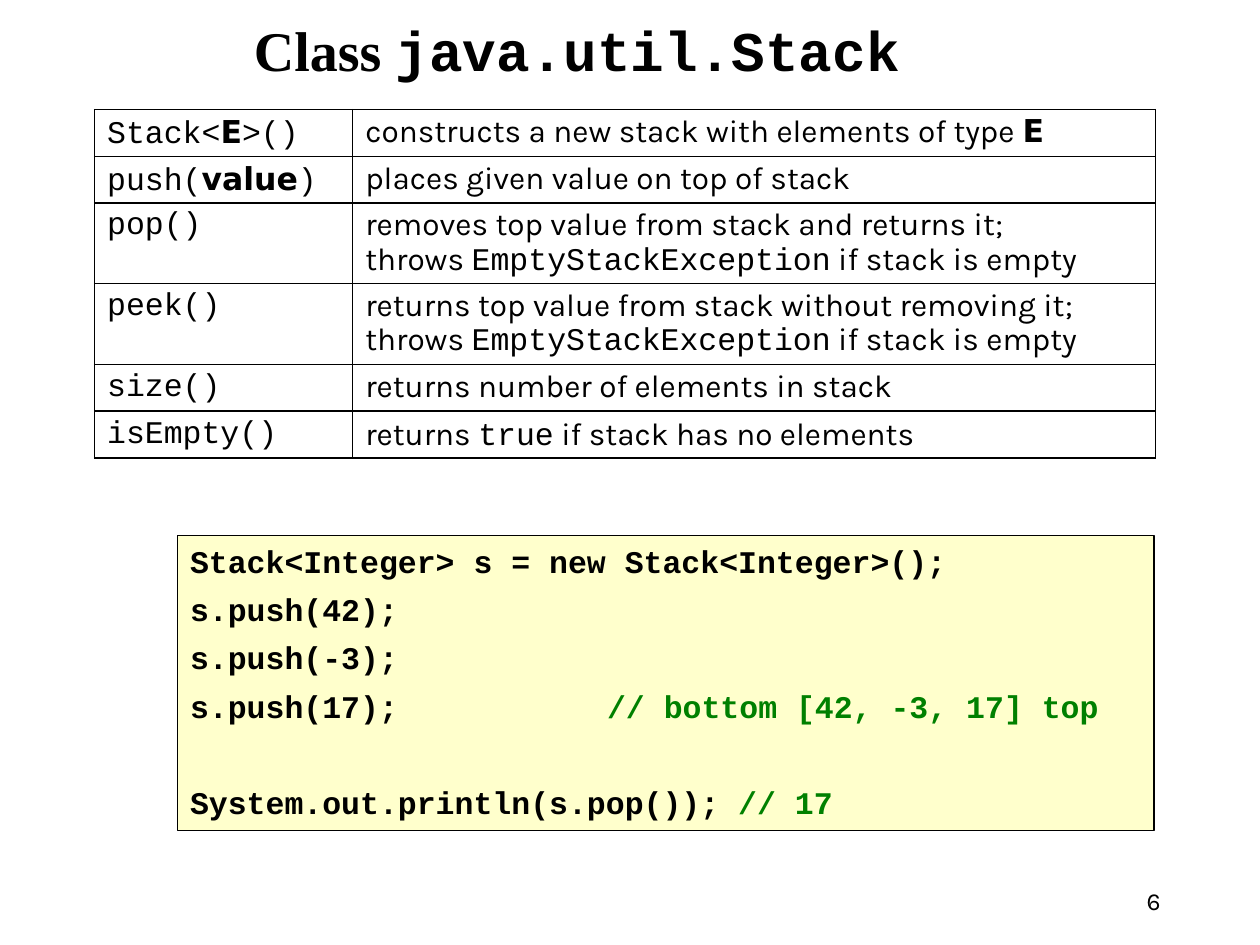
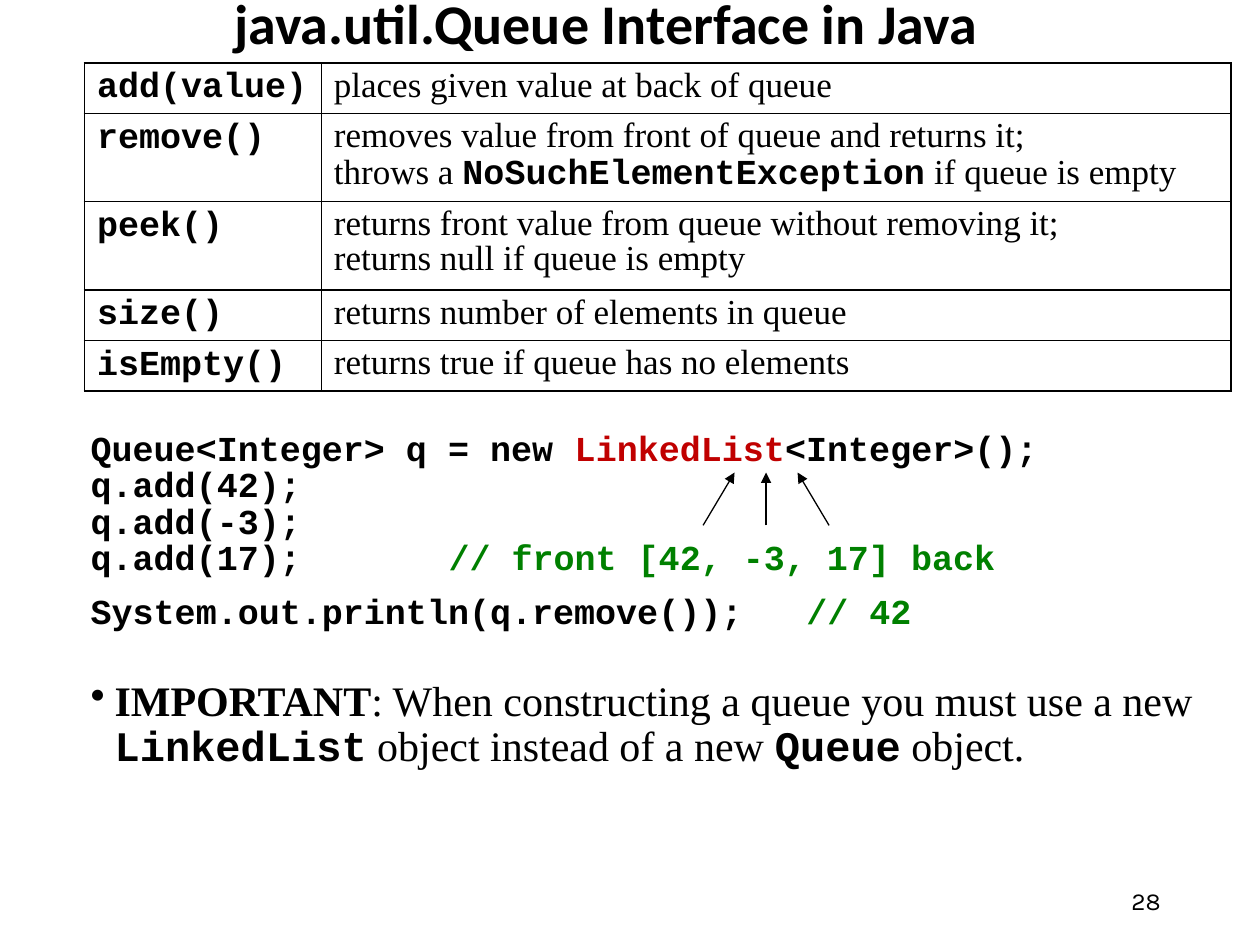
from typing import NamedTuple

from lxml.etree import SubElement as add_element
from pptx import Presentation
from pptx.dml.color import RGBColor
from pptx.enum.shapes import MSO_CONNECTOR as Connector, MSO_SHAPE as Shape
from pptx.enum.text import MSO_ANCHOR as Anchor, PP_ALIGN as Align
from pptx.oxml.ns import qn
from pptx.util import Inches, Pt

# Shared colours and fonts
BLACK, GREEN, RED, CREAM = "000000", "008000", "C00000", "FFFFCC"
MONO, SERIF, SANS, PLAIN, SYMBOL = (
    "Courier New", "Times New Roman", "Calibri", "Karla", "DejaVu Sans")


class Style(NamedTuple):
    font: str
    bold: bool = False
    color: str = BLACK


CODE, STRONG_CODE = Style(MONO), Style(MONO, True)
COMMENT, KEYWORD = Style(MONO, True, GREEN), Style(MONO, True, RED)
BODY, PROSE, STRONG_PROSE = Style(PLAIN), Style(SERIF), Style(SERIF, True)
ARGUMENT = Style(SYMBOL, True)

# Each table row: method runs, then the lines of its description
EMPTY_STACK = [("throws ", BODY), ("EmptyStackException", CODE),
               (" if stack is empty", BODY)]
STACK_METHODS = [
    ([("Stack<", CODE), ("E", ARGUMENT), (">()", CODE)],
     [[("constructs a new stack with elements of type ", BODY), ("E", ARGUMENT)]]),
    ([("push(", CODE), ("value", ARGUMENT), (")", CODE)],
     [[("places given value on top of stack", BODY)]]),
    ([("pop()", CODE)],
     [[("removes top value from stack and returns it;", BODY)], EMPTY_STACK]),
    ([("peek()", CODE)],
     [[("returns top value from stack without removing it;", BODY)], EMPTY_STACK]),
    ([("size()", CODE)], [[("returns number of elements in stack", BODY)]]),
    ([("isEmpty()", CODE)],
     [[("returns ", BODY), ("true", CODE), (" if stack has no elements", BODY)]]),
]
QUEUE_METHODS = [
    ([("add(value)", STRONG_CODE)], [[("places given value at back of queue", PROSE)]]),
    ([("remove()", STRONG_CODE)],
     [[("removes value from front of queue and returns it;", PROSE)],
      [("throws a ", PROSE), ("NoSuchElementException", STRONG_CODE),
       (" if queue is empty", PROSE)]]),
    ([("peek()", STRONG_CODE)],
     [[("returns front value from queue without removing it;", PROSE)],
      [("returns null if queue is empty", PROSE)]]),
    ([("size()", STRONG_CODE)], [[("returns number of elements in queue", PROSE)]]),
    ([("isEmpty()", STRONG_CODE)], [[("returns true if queue has no elements", PROSE)]]),
]

# Code lines; a tab leads to the comment column
STACK_CODE = [
    [("Stack<Integer> s = new Stack<Integer>();", STRONG_CODE)],
    [("s.push(42);", STRONG_CODE)],
    [("s.push(-3);", STRONG_CODE)],
    [("s.push(17);\t", STRONG_CODE), ("// bottom [42, -3, 17] top", COMMENT)],
    [("System.out.println(s.pop()); ", STRONG_CODE), ("// 17", COMMENT)],
]
QUEUE_CODE = [
    [("Queue<Integer> q = new ", STRONG_CODE), ("LinkedList", KEYWORD),
     ("<Integer>();", STRONG_CODE)],
    [("q.add(42);", STRONG_CODE)],
    [("q.add(-3);", STRONG_CODE)],
    [("q.add(17);\t", STRONG_CODE), ("// front [42, -3, 17] back", COMMENT)],
    [("System.out.println(q.remove());\t", STRONG_CODE), ("// 42", COMMENT)],
]
QUEUE_NOTE = [
    ("IMPORTANT", STRONG_PROSE),
    (": When constructing a queue you must use a new ", PROSE),
    ("LinkedList", STRONG_CODE), (" object instead of a new ", PROSE),
    ("Queue", STRONG_CODE), (" object.", PROSE),
]


def rgb(color):
    return RGBColor.from_string(color)


def write(para, runs, size, line=None, before=None, align=None):
    """Format one paragraph and fill it run by run."""
    para.alignment = align
    para.line_spacing = line
    if before is not None:
        para.space_before = Pt(before)
    for text, style in runs:
        span = para.add_run()
        span.text = text
        span.font.name, span.font.size = style.font, Pt(size)
        span.font.bold = style.bold
        span.font.color.rgb = rgb(style.color)


def paragraph(frame, index):
    return frame.paragraphs[0] if index == 0 else frame.add_paragraph()


def set_tab(para, position):
    tabs = add_element(para._p.get_or_add_pPr(), qn("a:tabLst"))
    add_element(tabs, qn("a:tab"), pos=str(Inches(position)), algn="l")


def set_bullet(para, indent):
    properties = para._p.get_or_add_pPr()
    properties.set("marL", str(Inches(indent)))
    properties.set("indent", str(-Inches(indent)))
    add_element(properties, qn("a:buChar"), char="•")


def add_text(page, left, top, width, height, anchor=Anchor.TOP):
    frame = page.shapes.add_textbox(
        Inches(left), Inches(top), Inches(width), Inches(height)).text_frame
    frame.word_wrap = True
    frame.vertical_anchor = anchor
    return frame


def add_title(page, left, top, height, runs):
    frame = add_text(page, left, top, 8.62, height, Anchor.MIDDLE)
    write(frame.paragraphs[0], runs, 32, 0.9, align=Align.CENTER)


def add_page_number(page, number):
    frame = add_text(page, 7.06, 6.95, 2.25, 0.4, Anchor.MIDDLE)
    write(frame.paragraphs[0], [(number, BODY)], 14, align=Align.RIGHT)


def add_borders(cell):
    properties = cell._tc.get_or_add_tcPr()
    for side in ("lnL", "lnR", "lnT", "lnB"):
        border = add_element(properties, qn(f"a:{side}"), w=str(Pt(1)))
        fill = add_element(border, qn("a:solidFill"))
        add_element(fill, qn("a:srgbClr"), val=BLACK)


def add_method_table(page, left, top, widths, methods, size, heights):
    """heights holds the row height for one and for two description lines."""
    row_heights = [heights[len(lines) - 1] for _, lines in methods]
    table = page.shapes.add_table(
        len(methods), 2, Inches(left), Inches(top),
        Inches(sum(widths)), Inches(sum(row_heights))).table
    table.first_row = table.horz_banding = False
    for column, width in zip(table.columns, widths):
        column.width = Inches(width)
    for row, height, (method, lines) in zip(table.rows, row_heights, methods):
        row.height = Inches(height)
        for cell, content in zip(row.cells, ([method], lines)):
            add_borders(cell)
            cell.fill.background()
            for index, runs in enumerate(content):
                write(paragraph(cell.text_frame, index), runs, size, 0.9)


def add_code(frame, code, size, line, before, last_before, tabs):
    """Write code lines; the last one stands apart from the others."""
    for index, runs in enumerate(code):
        para = paragraph(frame, index)
        last = index == len(code) - 1
        write(para, runs, size, line, last_before if last else before)
        if "\t" in runs[0][0]:
            set_tab(para, tabs[last])


def add_code_panel(page, left, top, width, height):
    panel = page.shapes.add_shape(
        Shape.RECTANGLE, Inches(left), Inches(top), Inches(width), Inches(height))
    panel.shadow.inherit = False
    panel.fill.solid()
    panel.fill.fore_color.rgb = rgb(CREAM)
    panel.line.color.rgb = rgb(BLACK)
    panel.line.width = Pt(0.75)
    panel.text_frame.word_wrap = True
    panel.text_frame.vertical_anchor = Anchor.TOP
    return panel.text_frame


def add_arrow(page, start, end):
    arrow = page.shapes.add_connector(
        Connector.STRAIGHT, *(Inches(value) for value in (*start, *end)))
    arrow.line.color.rgb = rgb(BLACK)
    arrow.line.width = Pt(0.75)
    add_element(arrow.line._get_or_add_ln(), qn("a:tailEnd"), type="triangle")
    add_element(arrow._element.spPr, qn("a:effectLst"))


def build_stack_page(page):
    add_title(page, 0.27, 0.06, 0.72,
              [("Class ", STRONG_PROSE), ("java.util.Stack", STRONG_CODE)])
    add_page_number(page, "6")
    panel = add_code_panel(page, 1.41, 4.25, 7.75, 2.34)
    for para_align in panel.paragraphs:
        para_align.alignment = Align.LEFT
    add_code(panel, STACK_CODE, 18, None, 6, 33.5, (3.31, 3.31))
    for para in panel.paragraphs:
        para.alignment = Align.LEFT
    add_method_table(page, 0.75, 0.87, (2.05, 6.37), STACK_METHODS, 18, (0.37, 0.64))


def build_queue_page(page):
    add_page_number(page, "28")
    add_title(page, 0.5, 0, 0.42,
              [("java.util.Queue Interface in Java", Style(SANS, True))])
    add_method_table(page, 0.67, 0.5, (1.88, 7.22), QUEUE_METHODS, 20, (0.4, 0.7))

    # Code with the note below it
    frame = add_text(page, 0.25, 3.43, 9.83, 3.92)
    frame.margin_left = Inches(0.47)
    add_code(frame, QUEUE_CODE, 20, 0.7, 3.8, 14.1, (2.84, 5.68))
    note = frame.add_paragraph()
    write(note, QUEUE_NOTE, 24, 0.9, 28.5)
    set_bullet(note, 0.19)

    # Arrows that converge on the class name
    for step in (-1, 0, 1):
        add_arrow(page, (6.08 + 0.5 * step, 4.17), (6.08 + 0.25 * step, 3.75))


def main():
    deck = Presentation()
    deck.slide_width, deck.slide_height = Inches(10), Inches(7.5)
    blank = deck.slide_layouts[6]
    for build_page in (build_stack_page, build_queue_page):
        build_page(deck.slides.add_slide(blank))
    deck.save("out.pptx")


if __name__ == "__main__":
    main()
